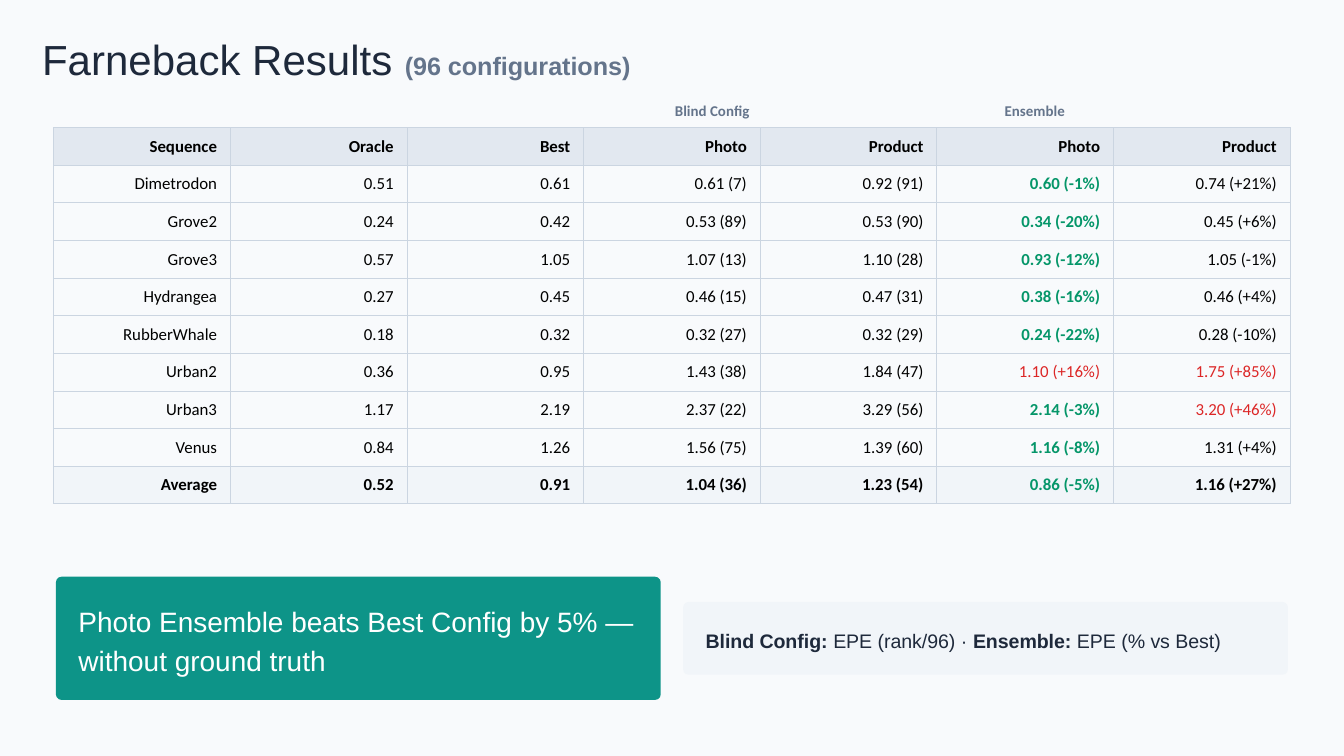
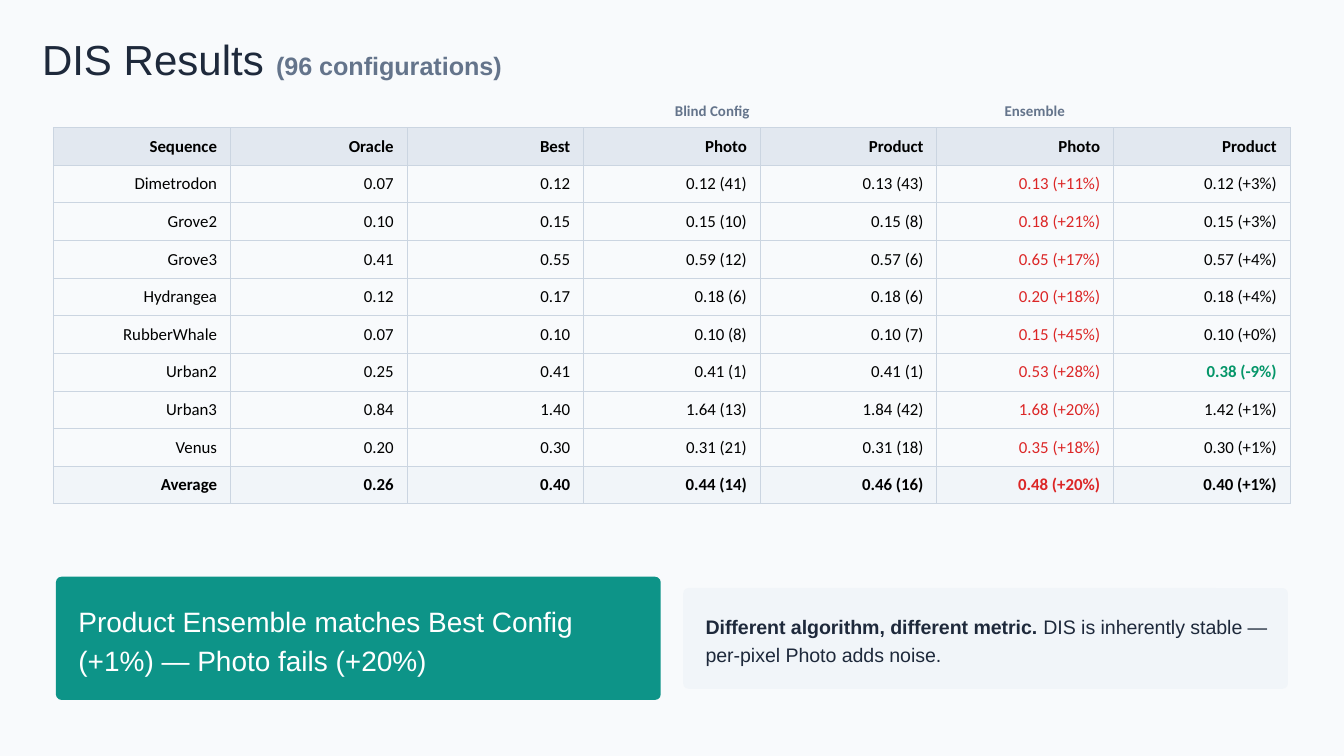
from lxml import etree
from pptx import Presentation
from pptx import util as u
from pptx.dml.color import RGBColor
from pptx.enum import shapes, text
from pptx.oxml.ns import qn

COLORS = {
    "page": "F8FAFC", "ink": "1E293B", "muted": "64748B", "teal": "0D9488",
    "panel": "F1F5F9", "header": "E2E8F0", "rule": "CBD5E1", "black": "000000",
    "white": "FFFFFF", "better": "059669", "worse": "DC2626",
}
GRID_COLUMNS, GRID_ROWS = 120, 67.5
SLIDE_WIDTH, SLIDE_HEIGHT = u.Inches(10), u.Inches(5.625)
POINTS_PER_ROW = 6
CARD_MIDDLE, CARD_WIDTH, CARD_INSET, CARD_RADIUS = 57, 54, 2, 0.5

FLUSH = dict(margin_left=0, margin_top=0, margin_right=0, margin_bottom=0,
             word_wrap=True, auto_size=text.MSO_AUTO_SIZE.NONE,
             vertical_anchor=text.MSO_ANCHOR.TOP)
TITLE = dict(name="Arial", size=u.Pt(22.5), bold=False, color="ink")
SUBTITLE = dict(name="Arial", size=u.Pt(13.5), bold=True, color="muted")
TAKEAWAY = dict(name="Arial", size=u.Pt(15), bold=False, color="white")
NOTE = dict(name="Arial", size=u.Pt(10.5), bold=False, color="ink")
NOTE_LEAD = dict(NOTE, bold=True)
GROUP = dict(name="Calibri", size=u.Pt(8), bold=True, color="muted")
FIGURE = dict(name="Calibri", size=u.Pt(9), bold=False, color="black")
MARKS = {"*": dict(color="better", bold=True), "!": dict(color="worse")}

HEADINGS = "Sequence|Oracle|Best|Photo|Product|Photo|Product"
GROUPS = {"Blind Config": 52.8, "Ensemble": 81.6}

FARNEBACK = """Dimetrodon|0.51|0.61|0.61 (7)|0.92 (91)|*0.60 (-1%)|0.74 (+21%)
Grove2|0.24|0.42|0.53 (89)|0.53 (90)|*0.34 (-20%)|0.45 (+6%)
Grove3|0.57|1.05|1.07 (13)|1.10 (28)|*0.93 (-12%)|1.05 (-1%)
Hydrangea|0.27|0.45|0.46 (15)|0.47 (31)|*0.38 (-16%)|0.46 (+4%)
RubberWhale|0.18|0.32|0.32 (27)|0.32 (29)|*0.24 (-22%)|0.28 (-10%)
Urban2|0.36|0.95|1.43 (38)|1.84 (47)|!1.10 (+16%)|!1.75 (+85%)
Urban3|1.17|2.19|2.37 (22)|3.29 (56)|*2.14 (-3%)|!3.20 (+46%)
Venus|0.84|1.26|1.56 (75)|1.39 (60)|*1.16 (-8%)|1.31 (+4%)
Average|0.52|0.91|1.04 (36)|1.23 (54)|*0.86 (-5%)|1.16 (+27%)"""

DIS = """Dimetrodon|0.07|0.12|0.12 (41)|0.13 (43)|!0.13 (+11%)|0.12 (+3%)
Grove2|0.10|0.15|0.15 (10)|0.15 (8)|!0.18 (+21%)|0.15 (+3%)
Grove3|0.41|0.55|0.59 (12)|0.57 (6)|!0.65 (+17%)|0.57 (+4%)
Hydrangea|0.12|0.17|0.18 (6)|0.18 (6)|!0.20 (+18%)|0.18 (+4%)
RubberWhale|0.07|0.10|0.10 (8)|0.10 (7)|!0.15 (+45%)|0.10 (+0%)
Urban2|0.25|0.41|0.41 (1)|0.41 (1)|!0.53 (+28%)|*0.38 (-9%)
Urban3|0.84|1.40|1.64 (13)|1.84 (42)|!1.68 (+20%)|1.42 (+1%)
Venus|0.20|0.30|0.31 (21)|0.31 (18)|!0.35 (+18%)|0.30 (+1%)
Average|0.26|0.40|0.44 (14)|0.46 (16)|!0.48 (+20%)|0.40 (+1%)"""


def rgb(color):
    return RGBColor.from_string(COLORS[color])


def paint(fill, color):
    fill.solid()
    fill.fore_color.rgb = rgb(color)


def assign(target, values):
    for key, value in values.items():
        setattr(target, key, value)


def place(column, row, columns, rows):
    across, down = SLIDE_WIDTH / GRID_COLUMNS, SLIDE_HEIGHT / GRID_ROWS
    return (round(column * across), round(row * down),
            round(columns * across), round(rows * down))


def write(paragraph, phrases, **layout):
    assign(paragraph, layout)
    for words, style in phrases:
        run = paragraph.add_run()
        run.text = words
        assign(run.font, {k: v for k, v in style.items() if k != "color"})
        run.font.color.rgb = rgb(style["color"])


def add_title(slide, method):
    title = slide.shapes.title
    edges = place(3.75, 3, 57.5, 4.5)
    assign(title, dict(zip(("left", "top", "width", "height"), edges)))
    assign(title.text_frame, FLUSH)
    write(title.text_frame.paragraphs[0],
          [(f"{method} Results ", TITLE), ("(96 configurations)", SUBTITLE)],
          alignment=text.PP_ALIGN.LEFT, line_spacing=u.Pt(27))


def add_card(slide, column, color, phrases, lines, leading):
    text_rows = lines * leading / POINTS_PER_ROW
    rows = text_rows + 2 * CARD_INSET
    top = CARD_MIDDLE - rows / 2
    card = slide.shapes.add_shape(shapes.MSO_SHAPE.ROUNDED_RECTANGLE,
                                  *place(column, top, CARD_WIDTH, rows))
    card.adjustments[0] = CARD_RADIUS / rows
    card.shadow.inherit = False
    card.line.fill.background()
    paint(card.fill, color)
    message = slide.shapes.add_textbox(
        *place(column + CARD_INSET, top + CARD_INSET, CARD_WIDTH - 3, text_rows))
    assign(message.text_frame, FLUSH)
    write(message.text_frame.paragraphs[0], phrases,
          line_spacing=u.Pt(leading), space_after=u.Pt(3))


def add_borders(cell):
    properties = cell._tc.get_or_add_tcPr()
    for side in ("lnL", "lnR", "lnT", "lnB"):
        line = etree.SubElement(properties, qn(f"a:{side}"), w=str(u.Pt(0.5)))
        solid = etree.SubElement(line, qn("a:solidFill"))
        etree.SubElement(solid, qn("a:srgbClr"), val=COLORS["rule"])


def fill_cell(cell, entry, color, bold):
    style = dict(FIGURE, bold=bold)
    if entry[0] in MARKS:
        style.update(MARKS[entry[0]])
        entry = entry[1:]
    cell.vertical_anchor = text.MSO_ANCHOR.MIDDLE
    write(cell.text_frame.paragraphs[0], [(entry, style)],
          alignment=text.PP_ALIGN.RIGHT)
    add_borders(cell)
    if color:
        paint(cell.fill, color)
    else:
        cell.fill.background()


def add_results(slide, results):
    records = [line.split("|") for line in [HEADINGS, *results.splitlines()]]
    bands = {0: "header", len(records) - 1: "panel"}
    table = slide.shapes.add_table(len(records), len(records[0]),
                                   *place(4.8, 11.4, 110.4, 33.6)).table
    table.horz_banding = False
    for r, record in enumerate(records):
        for c, entry in enumerate(record):
            fill_cell(table.cell(r, c), entry, bands.get(r), r in bands)


def add_group_labels(slide):
    for group, column in GROUPS.items():
        label = slide.shapes.add_textbox(*place(column, 8.4, 21.6, 3))
        assign(label.text_frame, dict(word_wrap=True,
                                      vertical_anchor=text.MSO_ANCHOR.MIDDLE))
        write(label.text_frame.paragraphs[0], [(group, GROUP)],
              alignment=text.PP_ALIGN.CENTER)


def add_results_slide(deck, method, results, takeaway, note, note_lines):
    slide = deck.slides.add_slide(deck.slide_layouts.get_by_name("Title Only"))
    add_title(slide, method)
    add_card(slide, 5, "teal", [(takeaway, TAKEAWAY)], lines=2, leading=21)
    add_card(slide, 61, "panel", note, lines=note_lines, leading=15)
    add_results(slide, results)
    add_group_labels(slide)


def main():
    deck = Presentation()
    assign(deck, dict(slide_width=SLIDE_WIDTH, slide_height=SLIDE_HEIGHT))
    paint(deck.slide_master.background.fill, "page")
    add_results_slide(
        deck, "Farneback", FARNEBACK,
        "Photo Ensemble beats Best Config by 5% — without ground truth",
        [("Blind Config:", NOTE_LEAD), (" EPE (rank/96) · ", NOTE),
         ("Ensemble:", NOTE_LEAD), (" EPE (% vs Best)", NOTE)], 1)
    add_results_slide(
        deck, "DIS", DIS,
        "Product Ensemble matches Best Config (+1%) — Photo fails (+20%)",
        [("Different algorithm, different metric.", NOTE_LEAD),
         (" DIS is inherently stable — per-pixel Photo adds noise.", NOTE)], 2)
    deck.save("out.pptx")


if __name__ == "__main__":
    main()
